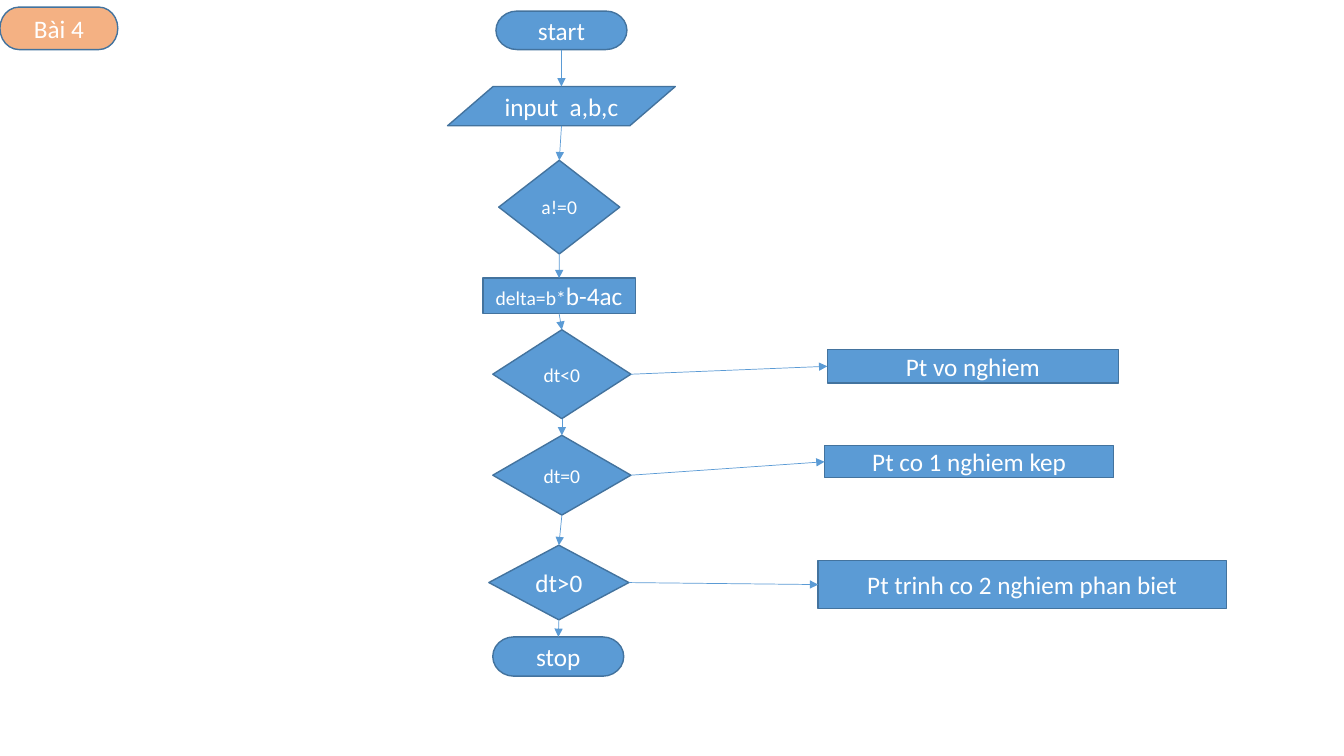
"""Builds a flowchart slide that solves a quadratic equation."""
from dataclasses import dataclass
from itertools import pairwise

from lxml import etree
from pptx import Presentation
from pptx import util as u
from pptx.dml.color import RGBColor
from pptx.enum import shapes, text
from pptx.oxml import ns

TERMINATOR = shapes.MSO_SHAPE.FLOWCHART_TERMINATOR
DATA = shapes.MSO_SHAPE.FLOWCHART_DATA
DECISION = shapes.MSO_SHAPE.FLOWCHART_DECISION
PROCESS = shapes.MSO_SHAPE.RECTANGLE
TOP, LEFT, BOTTOM, RIGHT = range(4)


@dataclass(frozen=True)
class Theme:
    """Colours, font and sizes of the slide."""
    step: RGBColor = RGBColor(0x5B, 0x9B, 0xD5)
    outline: RGBColor = RGBColor(0x43, 0x73, 0x9E)
    exercise: RGBColor = RGBColor(0xF4, 0xB1, 0x83)
    label: RGBColor = RGBColor(0xFF, 0xFF, 0xFF)
    font: str = "Calibri"
    normal: int = 18
    small: int = 14
    outline_width: float = 1
    arrow_width: float = 0.5


THEME = Theme()


def add_step(slide, kind, box, *parts, fill=THEME.step):
    """Add a flowchart symbol whose label is made of (wording, size) parts."""
    step = slide.shapes.add_shape(kind, *map(u.Cm, box))
    step.shadow.inherit = False
    step.fill.solid()
    step.fill.fore_color.rgb = fill
    step.line.color.rgb = THEME.outline
    step.line.width = u.Pt(THEME.outline_width)
    step.text_frame.vertical_anchor = text.MSO_ANCHOR.MIDDLE
    label = step.text_frame.paragraphs[0]
    label.alignment = text.PP_ALIGN.CENTER
    for wording, size in parts:
        run = label.add_run()
        run.text = wording
        run.font.name = THEME.font
        run.font.size = u.Pt(size)
        run.font.color.rgb = THEME.label
    return step


def site(step, side):
    """Return the middle of one side of a symbol."""
    across, down = {TOP: (1, 0), LEFT: (0, 1), BOTTOM: (1, 2), RIGHT: (2, 1)}[side]
    return step.left + step.width * across // 2, step.top + step.height * down // 2


def add_arrow(slide, source, exit_side, target, entry_side):
    """Join two symbols with an arrow, glued where the side is a connection site."""
    arrow = slide.shapes.add_connector(
        shapes.MSO_CONNECTOR.STRAIGHT, *site(source, exit_side), *site(target, entry_side))
    if source.auto_shape_type != DATA:
        arrow.begin_connect(source, exit_side)
    if target.auto_shape_type != DATA:
        arrow.end_connect(target, entry_side)
    arrow.line.color.rgb = THEME.step
    arrow.line.width = u.Pt(THEME.arrow_width)
    etree.SubElement(arrow.line._get_or_add_ln(), ns.qn("a:tailEnd"), type="triangle")
    etree.SubElement(arrow._element.spPr, ns.qn("a:effectLst"))


def main():
    """Build and save the slide."""
    prs = Presentation()
    prs.slide_width, prs.slide_height = u.Cm(33.87), u.Cm(19.05)
    slide = prs.slides.add_slide(prs.slide_layouts[6])
    normal, small = THEME.normal, THEME.small

    start = add_step(slide, TERMINATOR, (12.5, 0.28, 3.3, 0.97), ("start", normal))
    coefficients = add_step(slide, DATA, (11.28, 2.18, 5.74, 0.99), ("input  a,b,c", normal))
    quadratic = add_step(slide, DECISION, (12.57, 4.04, 3.05, 2.36), ("a!=0", small))
    delta = add_step(slide, PROCESS, (12.17, 7.01, 3.84, 0.89),
                     ("delta=b*", small), ("b-4ac", normal))
    negative = add_step(slide, DECISION, (12.42, 8.31, 3.48, 2.24), ("dt<0", small))
    zero = add_step(slide, DECISION, (12.42, 10.97, 3.48, 2.01), ("dt=0", small))
    positive = add_step(slide, DECISION, (12.32, 13.74, 3.53, 1.88), ("dt>0", normal))
    stop = add_step(slide, TERMINATOR, (12.42, 16.05, 3.3, 0.99), ("stop", normal))

    no_root = add_step(slide, PROCESS, (20.85, 8.81, 7.34, 0.84), ("Pt vo nghiem", normal))
    double_root = add_step(slide, PROCESS, (20.78, 11.23, 7.29, 0.81),
                           ("Pt co 1 nghiem kep", normal))
    two_roots = add_step(slide, PROCESS, (20.62, 14.12, 10.29, 1.22),
                         ("Pt trinh co 2 nghiem phan biet", normal))

    flow = (start, coefficients, quadratic, delta, negative, zero, positive, stop)
    for source, target in pairwise(flow):
        add_arrow(slide, source, BOTTOM, target, TOP)
    for test, result in ((negative, no_root), (zero, double_root), (positive, two_roots)):
        add_arrow(slide, test, RIGHT, result, LEFT)

    add_step(slide, TERMINATOR, (0, 0.18, 2.97, 1.07), ("Bài 4", normal), fill=THEME.exercise)
    prs.save("out.pptx")


if __name__ == "__main__":
    main()
